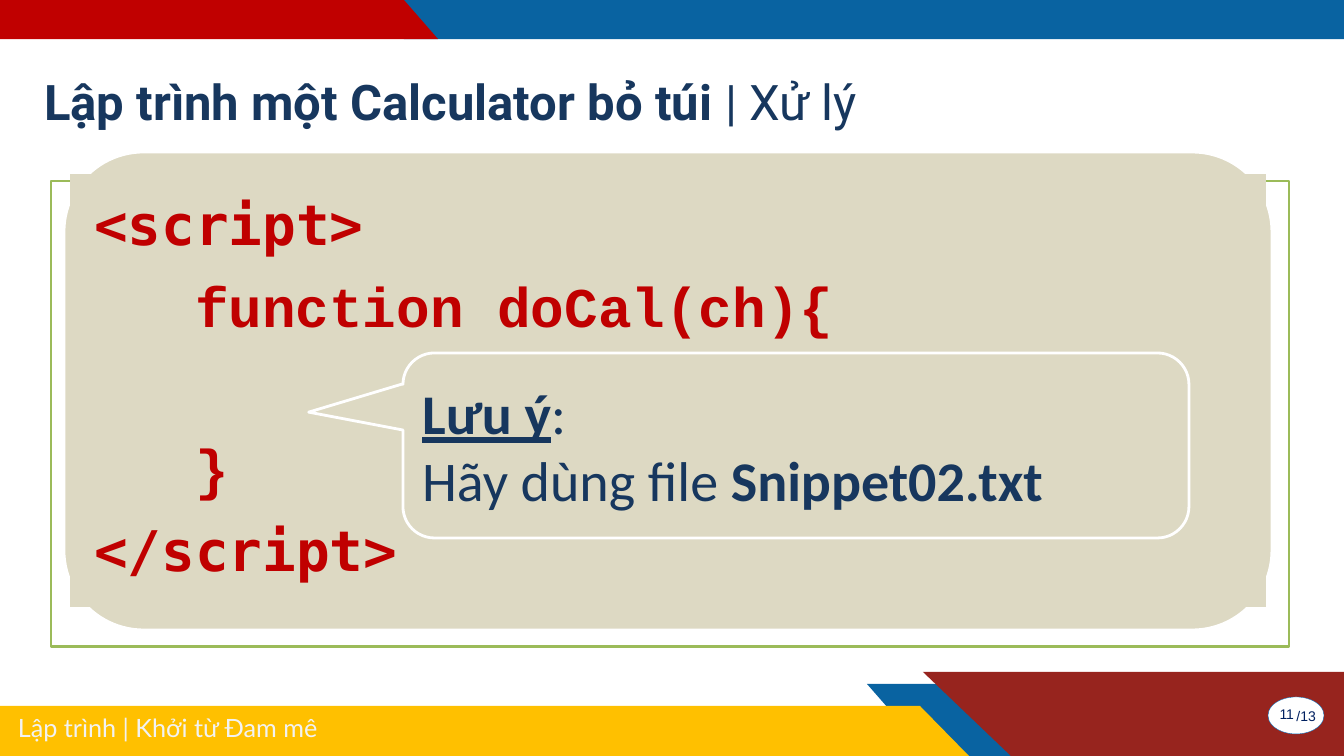
from pptx import Presentation
from pptx.dml.color import RGBColor
from pptx.enum.shapes import MSO_SHAPE
from pptx.enum.text import MSO_ANCHOR, MSO_AUTO_SIZE, PP_ALIGN
from pptx.util import Emu, Pt

HEX = {"blue": "0963A1", "red": "C00000", "brick": "97241E", "gold": "FFC000",
       "navy": "17375E", "ink": "002060", "sand": "DDD9C3", "white": "FFFFFF",
       "pale": "F2F2F2", "green": "9BBB59", "rim": "0070C0"}

BANDS = [
    ("blue", [(370, 0), (404, 39), (1344, 39), (1344, 0)]),
    ("red", [(0, 0), (404, 0), (438, 39), (0, 39)]),
    ("blue", [(867, 684), (1240, 684), (1303, 756), (930, 756)]),
    ("brick", [(923, 672), (1344, 672), (1344, 756), (1011, 756)]),
    ("gold", [(0, 706), (920, 706), (969, 756), (0, 756)]),
]

# Each run: text, bold, underline
TITLE = [[("Lập trình một Calculator bỏ túi", True, False),
          (" | Xử lý", False, False)]]
NOTE = [[("Lưu ý", True, True), (":", False, False)],
        [("Hãy dùng file ", False, False), ("Snippet02.txt", True, False)]]
FOOTER = [[("Lập trình | Khởi từ Đam mê", False, False)]]
PAGE = [[("11", False, False)]]
TOTAL = [[("/13", False, False)]]

MONO, COURIER = "DejaVu Sans Mono", "Courier New"
# Each line: text, font, indent in px, blank rows above
CODE = [("<script>", MONO, 0, 0),
        ("function doCal(ch){", COURIER, 101, 0),
        ("}", COURIER, 101, 1),
        ("</script>", MONO, 0, 0)]
ROW, GAP = 57, 15.5  # points: height of a code row, space after it


def px(n):
    return Emu(round(n * 914400 / 100.8))


def color(name):
    return RGBColor.from_string(HEX[name])


def style(run, font, size, tint, bold=False, under=False):
    f = run.font
    f.name, f.size, f.bold, f.underline = font, Pt(size), bold, under
    f.color.rgb = color(tint)


def frame(shape, anchor, side=0, edge=0):
    """Set wrapping, anchor and margins, and return the text frame."""
    tf = shape.text_frame
    tf.word_wrap, tf.auto_size = True, MSO_AUTO_SIZE.NONE
    tf.vertical_anchor = anchor
    tf.margin_left = tf.margin_right = px(side)
    tf.margin_top = tf.margin_bottom = px(edge)
    return tf


def write(tf, lines, font, size, tint, align=PP_ALIGN.LEFT):
    tf.text = "\n".join("" for _ in lines)
    for para, parts in zip(tf.paragraphs, lines):
        para.alignment = align
        for text, bold, under in parts:
            run = para.add_run()
            run.text = text
            style(run, font, size, tint, bold, under)


def paint(shape, fill=None, line=None, width=2):
    shape.shadow.inherit = False
    if fill:
        shape.fill.solid()
        shape.fill.fore_color.rgb = color(fill)
    else:
        shape.fill.background()
    if line:
        shape.line.color.rgb = color(line)
        shape.line.width = Pt(width)
    else:
        shape.line.fill.background()


def main():
    prs = Presentation()
    prs.slide_width, prs.slide_height = px(1344), px(756)
    slide = prs.slides.add_slide(prs.slide_layouts[5])
    shapes = slide.shapes

    def add(kind, box, fill=None, line=None, width=2):
        shape = shapes.add_shape(kind, *map(px, box))
        paint(shape, fill, line, width)
        return shape

    def label(box):
        return shapes.add_textbox(*map(px, box))

    title = shapes.title
    title.left, title.top, title.width, title.height = map(px, (44, 72, 1256, 59))
    write(frame(title, MSO_ANCHOR.TOP), TITLE, "Roboto", 35, "navy")

    for tint, points in BANDS:
        spots = [(px(x), px(y)) for x, y in points]
        path = shapes.build_freeform(*spots[0], scale=1)
        path.add_line_segments(spots[1:], close=True)
        paint(path.convert_to_shape(), tint)

    footer = label((8, 707, 487, 40))
    write(frame(footer, MSO_ANCHOR.TOP, 10, 5), FOOTER, "Lato", 18, "pale")

    badge = add(MSO_SHAPE.OVAL, (1268, 697, 56, 37), "white", "rim", 0.25)
    write(frame(badge, MSO_ANCHOR.MIDDLE), TOTAL, "Arial", 10, "ink", PP_ALIGN.RIGHT)
    page = label((1205, 706, 89, 17))
    write(frame(page, MSO_ANCHOR.TOP), PAGE, "Arial", 10, "ink", PP_ALIGN.RIGHT)

    add(MSO_SHAPE.RECTANGLE, (51, 181, 1238, 466), line="green")
    add(MSO_SHAPE.ROUNDED_RECTANGLE, (64, 152, 1208, 478), "sand", "white")

    panel = add(MSO_SHAPE.RECTANGLE, (70, 174, 1196, 433), "sand")
    tf = frame(panel, MSO_ANCHOR.MIDDLE, 24)
    tf.text = "\n".join(row[0] for row in CODE)
    for para, (_, font, indent, blank) in zip(tf.paragraphs, CODE):
        para.alignment = PP_ALIGN.LEFT
        para.line_spacing = 0.9
        para.space_before, para.space_after = Pt(blank * ROW), Pt(GAP)
        props = para._p.get_or_add_pPr()
        props.set("marL", str(px(indent)))
        props.set("indent", "0")
        style(para.runs[0], font, 40, "red", True)

    note = add(MSO_SHAPE.ROUNDED_RECTANGULAR_CALLOUT, (403, 353, 786, 185), line="white")
    for i, value in enumerate((-0.62, -0.18, 0.17)):
        note.adjustments[i] = value
    write(frame(note, MSO_ANCHOR.MIDDLE, 10, 5), NOTE, "Calibri", 40, "navy")

    prs.save("out.pptx")


if __name__ == "__main__":
    main()
